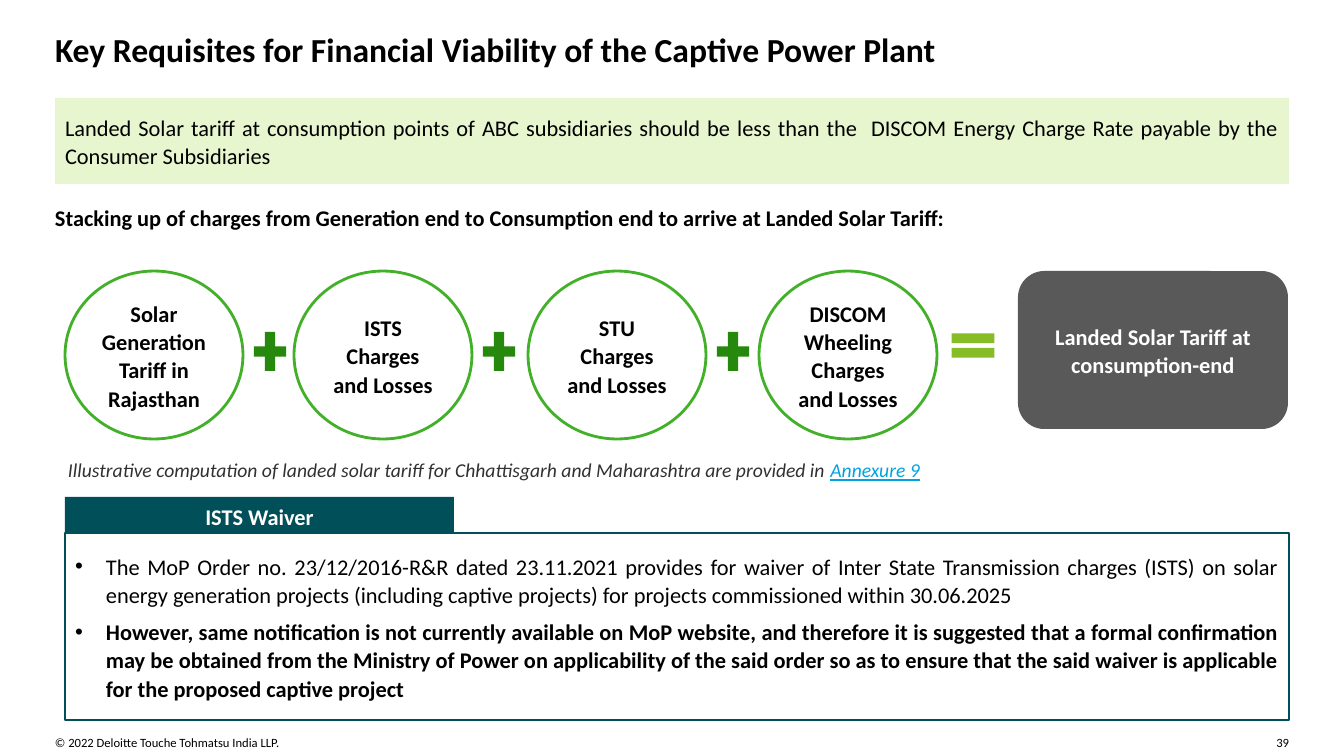
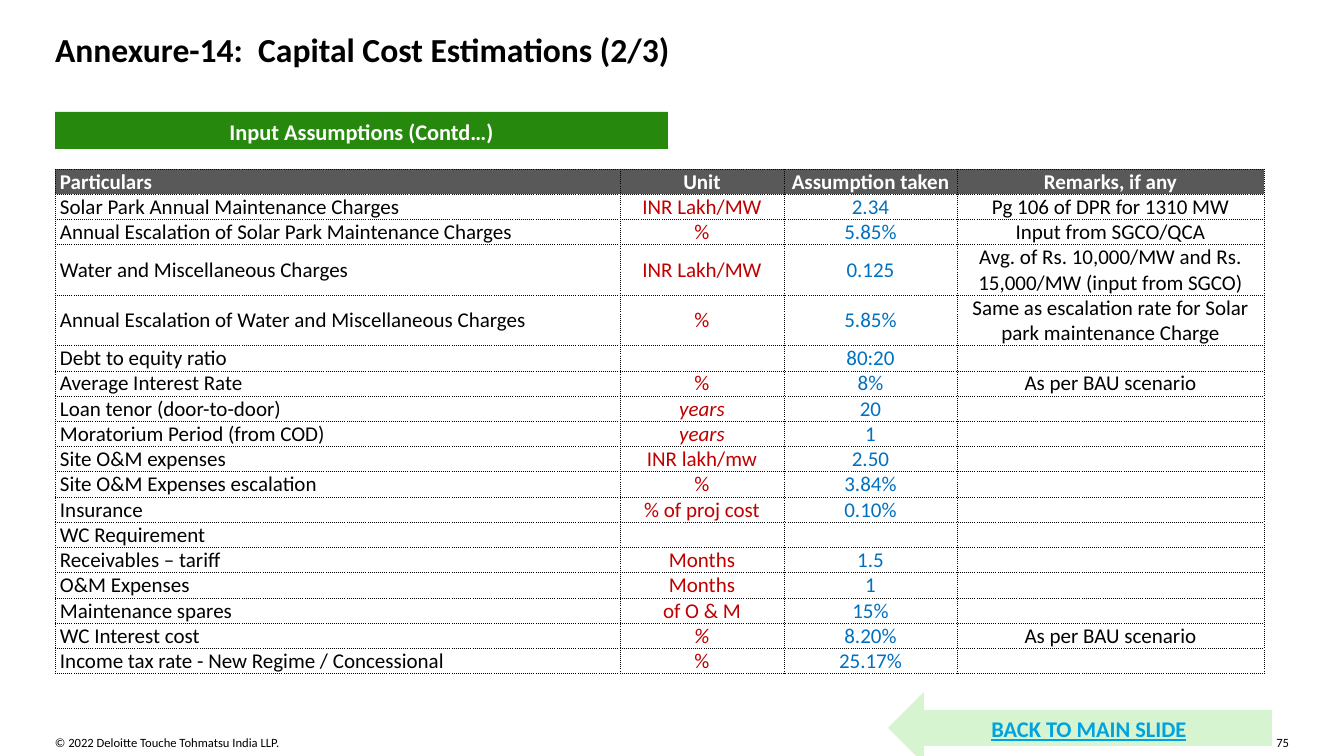
from lxml import etree
from pptx import Presentation
from pptx.dml.color import RGBColor
from pptx.enum.shapes import MSO_SHAPE
from pptx.enum.text import MSO_ANCHOR, PP_ALIGN
from pptx.oxml.ns import qn
from pptx.util import Pt

RECT, OVAL, ROUND = MSO_SHAPE.RECTANGLE, MSO_SHAPE.OVAL, MSO_SHAPE.ROUNDED_RECTANGLE
PLUS, EQUAL, ARROW = MSO_SHAPE.MATH_PLUS, MSO_SHAPE.MATH_EQUAL, MSO_SHAPE.LEFT_ARROW
LEFT, CENTER, RIGHT, JUSTIFY = PP_ALIGN.LEFT, PP_ALIGN.CENTER, PP_ALIGN.RIGHT, PP_ALIGN.JUSTIFY
TOP, MIDDLE = MSO_ANCHOR.TOP, MSO_ANCHOR.MIDDLE

PX = 914400 / 100.8
FONT = "Calibri"
COLORS = {
    "black": "000000", "white": "FFFFFF", "ink": "313131", "gray": "595959",
    "pale": "E8F6CF", "mint": "D7F4D0", "ring": "43B02A", "green": "26890D",
    "lime": "86BC25", "teal": "004F59", "link": "00A3E0",
    "unit": "C00000", "value": "0070C0",
}
MARGIN, WIDTH = 55, 1234


def add_run(p, text, size=16, color="black", bold=False, italic=False, underline=False):
    r = p.add_run()
    r.text = text
    f = r.font
    f.name, f.size, f.bold, f.italic, f.underline = FONT, Pt(size), bold, italic, underline
    f.color.rgb = RGBColor.from_string(COLORS[color])


def add_box(s, x, y, w, h, kind=None, fill=None, line=None, align=LEFT):
    """Add a preset shape, or a plain text box when kind is None; return its shape and first paragraph."""
    at = [round(v * PX) for v in (x, y, w, h)]
    if kind is None:
        sp, inset = s.shapes.add_textbox(*at), 0
    else:
        sp, inset = s.shapes.add_shape(kind, *at), round(10 * PX)
        sp.shadow.inherit = False
        sp.fill.solid()
        sp.fill.fore_color.rgb = RGBColor.from_string(COLORS[fill])
        if line:
            sp.line.color.rgb = RGBColor.from_string(COLORS[line])
            sp.line.width = Pt(2)
        else:
            sp.line.fill.background()
    tf = sp.text_frame
    tf.word_wrap = True
    tf.vertical_anchor = MIDDLE if kind else TOP
    tf.margin_left = tf.margin_right = tf.margin_top = tf.margin_bottom = inset
    p = tf.paragraphs[0]
    p.alignment = align
    if kind:
        p.line_spacing = 1.06
    return sp, p


prs = Presentation()
prs.slide_width, prs.slide_height = round(1344 * PX), round(756 * PX)

# Title and footer on every slide
slides = []
for title, number in [
    ("Key Requisites for Financial Viability of the Captive Power Plant", "39"),
    ("Annexure-14:  Capital Cost Estimations (2/3)", "75"),
]:
    s = prs.slides.add_slide(prs.slide_layouts[6])
    slides.append(s)
    sp, p = add_box(s, MARGIN, 735, 591, 15)
    add_run(p, "© 2022 Deloitte Touche Tohmatsu India LLP.", 9)
    sp, p = add_box(s, 1260, 735, 29, 15, align=RIGHT)
    add_run(p, number, 9)
    sp, p = add_box(s, MARGIN, 29, WIDTH, 37)
    add_run(p, title, 24, bold=True)

# Slide 1: key message
s = slides[0]
sp, p = add_box(s, MARGIN, 98, WIDTH, 86, RECT, "pale", align=JUSTIFY)
add_run(p, "Landed Solar tariff at consumption points of ABC subsidiaries should be less than the  "
           "DISCOM Energy Charge Rate payable by the Consumer Subsidiaries")
sp, p = add_box(s, MARGIN, 204, 1213, 37)
add_run(p, "Stacking up of charges from Generation end to Consumption end to arrive at "
           "Landed Solar Tariff:", bold=True)

# Slide 1: sum of charges
charges = [
    (65, "Solar Generation Tariff in Rajasthan"),
    (294, "ISTS Charges and Losses"),
    (528, "STU Charges and Losses"),
    (759, "DISCOM Wheeling Charges and Losses"),
]
for i, (x, text) in enumerate(charges):
    sp, p = add_box(s, x, 271, 178, 168, OVAL, "white", "ring", CENTER)
    add_run(p, text, bold=True)
    if i < len(charges) - 1:
        add_box(s, x + 183, 325, 44, 53, PLUS, "green")
add_box(s, 944, 325, 58, 41, EQUAL, "lime")
sp, p = add_box(s, 1018, 271, 270, 158, ROUND, "gray", align=CENTER)
add_run(p, "Landed Solar Tariff at consumption-end", color="white", bold=True)

# Slide 1: waiver panel
sp, p = add_box(s, 65, 533, 1224, 187, RECT, "white", "teal")
tf = sp.text_frame
points = [
    ("The MoP Order no. 23/12/2016-R&R dated 23.11.2021 provides for waiver of Inter State "
     "Transmission charges (ISTS) on solar energy generation projects (including captive projects) "
     "for projects commissioned within 30.06.2025", False),
    ("However, same notification is not currently available on MoP website, and therefore it is "
     "suggested that a formal confirmation may be obtained from the Ministry of Power on "
     "applicability of the said order so as to ensure that the said waiver is applicable for the "
     "proposed captive project", True),
]
for i, (text, bold) in enumerate(points):
    p = tf.add_paragraph() if i else tf.paragraphs[0]
    pPr = p._p.get_or_add_pPr()
    pPr.set("marL", str(round(31 * PX)))
    pPr.set("indent", str(-round(31 * PX)))
    etree.SubElement(pPr, qn("a:buFont"), typeface="Arial")
    etree.SubElement(pPr, qn("a:buChar"), char="•")
    p.alignment, p.line_spacing, p.space_after = JUSTIFY, 1.06, Pt(6)
    add_run(p, text, bold=bold)
sp, p = add_box(s, 65, 497, 389, 37, RECT, "teal", align=CENTER)
add_run(p, "ISTS Waiver", color="white", bold=True)
sp, p = add_box(s, 68, 458, 919, 24)
add_run(p, "Illustrative computation of landed solar tariff for Chhattisgarh and Maharashtra "
           "are provided in ", 14, "ink", italic=True)
add_run(p, "Annexure 9", 14, "link", italic=True, underline=True)

# Slide 2: back arrow and band
s = slides[1]
sp, p = add_box(s, 888, 692, 384, 72, ARROW, "mint", align=CENTER)
add_run(p, "BACK TO MAIN SLIDE", color="link", bold=True, underline=True)
sp, p = add_box(s, MARGIN, 112, 613, 37, RECT, "green", align=CENTER)
add_run(p, "Input Assumptions (Contd…)", color="white", bold=True)

# Slide 2: assumptions table
rows = [
    ("Particulars", "Unit", "Assumption taken", "Remarks, if any"),
    ("Solar Park Annual Maintenance Charges", "INR Lakh/MW", "2.34", "Pg 106 of DPR for 1310 MW"),
    ("Annual Escalation of Solar Park Maintenance Charges", "%", "5.85%", "Input from SGCO/QCA"),
    ("Water and Miscellaneous Charges", "INR Lakh/MW", "0.125",
     "Avg. of Rs. 10,000/MW and Rs. 15,000/MW (input from SGCO)"),
    ("Annual Escalation of Water and Miscellaneous Charges", "%", "5.85%",
     "Same as escalation rate for Solar park maintenance Charge"),
    ("Debt to equity ratio", "", "80:20", ""),
    ("Average Interest Rate", "%", "8%", "As per BAU scenario"),
    ("Loan tenor (door-to-door)", "years", "20", ""),
    ("Moratorium Period (from COD)", "years", "1", ""),
    ("Site O&M expenses", "INR lakh/mw", "2.50", ""),
    ("Site O&M Expenses escalation", "%", "3.84%", ""),
    ("Insurance", "% of proj cost", "0.10%", ""),
    ("WC Requirement", "", "", ""),
    ("Receivables – tariff", "Months", "1.5", ""),
    ("O&M Expenses", "Months", "1", ""),
    ("Maintenance spares", "of O & M", "15%", ""),
    ("WC Interest cost", "%", "8.20%", "As per BAU scenario"),
    ("Income tax rate - New Regime / Concessional", "%", "25.17%", ""),
]
italic_units = {"Loan tenor (door-to-door)", "Moratorium Period (from COD)", "WC Interest cost"}
col_widths = [565, 164, 173, 307]
col_colors = ["black", "unit", "value", "black"]
row_height = 25
at = [round(v * PX) for v in (MARGIN, 169, sum(col_widths), row_height * len(rows))]
table = s.shapes.add_table(len(rows), len(col_widths), *at).table
table.first_row = table.horz_banding = False
for col, w in zip(table.columns, col_widths):
    col.width = round(w * PX)
for i, row in enumerate(rows):
    table.rows[i].height = round(row_height * PX)
    for j, text in enumerate(row):
        cell = table.cell(i, j)
        cell.vertical_anchor = MIDDLE
        cell.margin_left = cell.margin_right = round(5 * PX)
        cell.margin_top = cell.margin_bottom = 0
        p = cell.text_frame.paragraphs[0]
        p.alignment = CENTER if j else LEFT
        if text:
            add_run(p, text, 15, "white" if i == 0 else col_colors[j], bold=i == 0,
                    italic=j == 1 and row[0] in italic_units)
        else:
            etree.SubElement(p._p, qn("a:endParaRPr"), sz="1500")
        # Dotted borders come before the fill in the cell properties
        tcPr = cell._tc.get_or_add_tcPr()
        for side in ("a:lnL", "a:lnR", "a:lnT", "a:lnB"):
            ln = etree.SubElement(tcPr, qn(side), w=str(Pt(0.5)))
            solid = etree.SubElement(ln, qn("a:solidFill"))
            etree.SubElement(solid, qn("a:srgbClr"), val=COLORS["black"])
            etree.SubElement(ln, qn("a:prstDash"), val="dot")
        if i == 0:
            cell.fill.solid()
            cell.fill.fore_color.rgb = RGBColor.from_string(COLORS["gray"])
        else:
            cell.fill.background()

prs.save("out.pptx")
